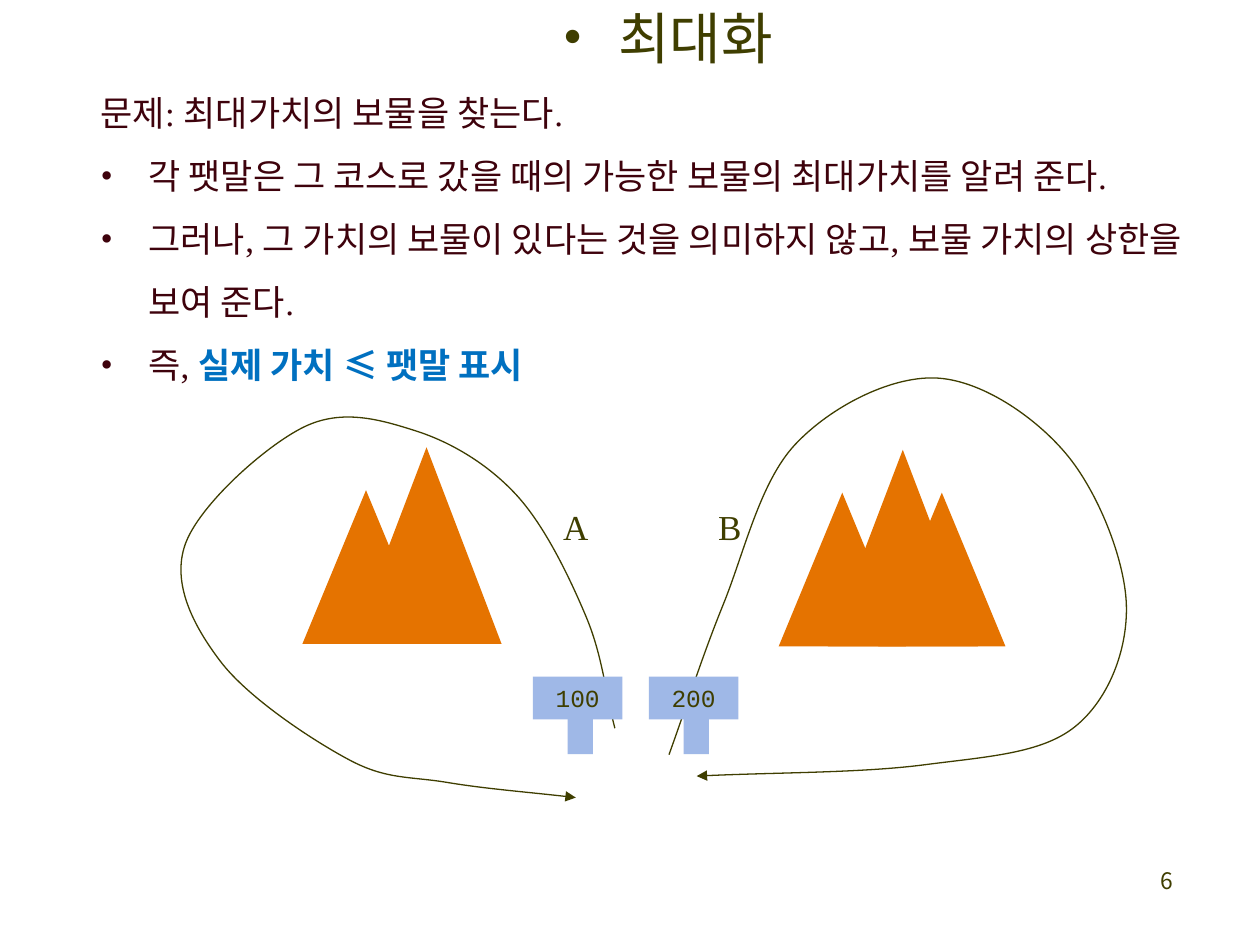
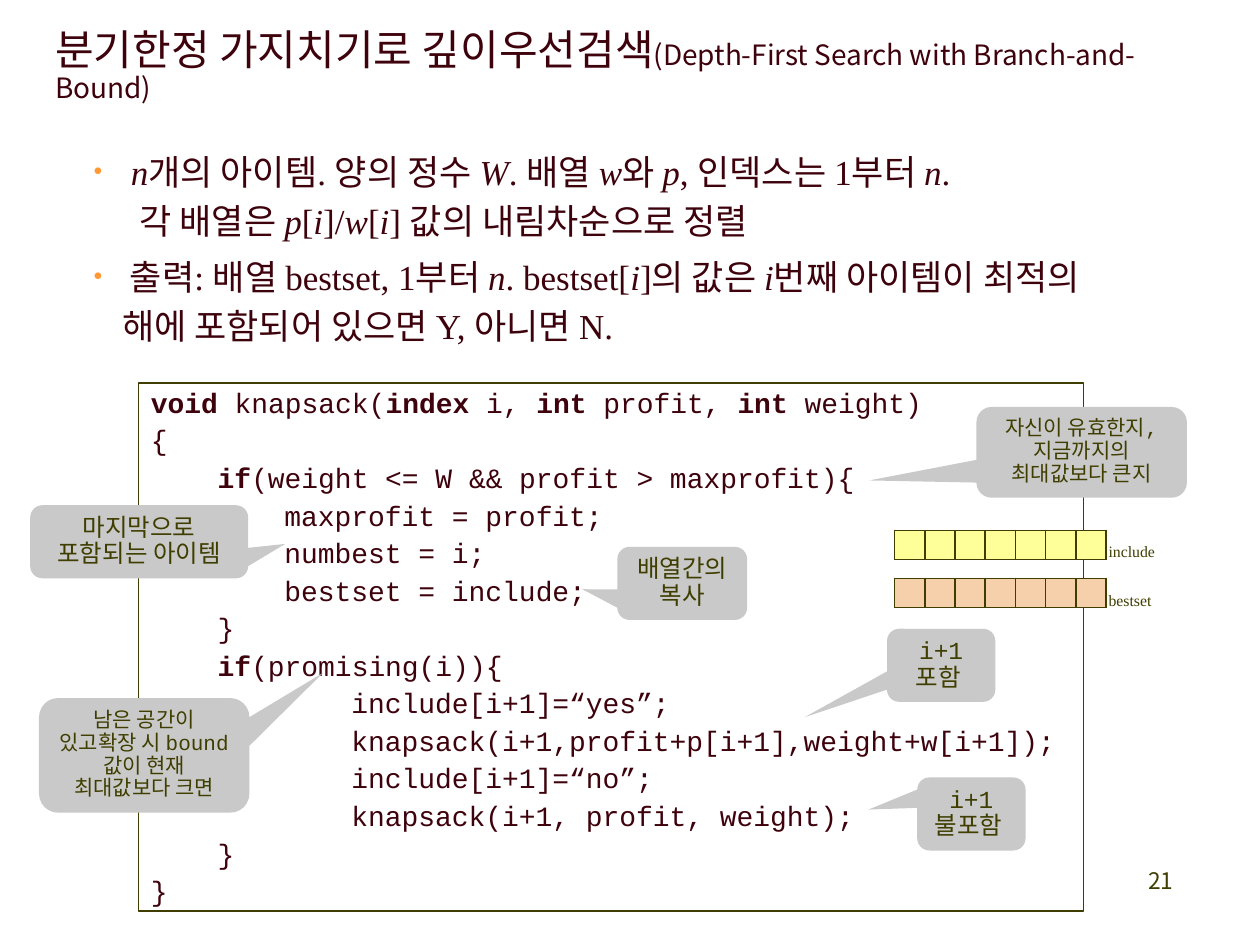
import pptx
import pptx.util
import pptx.dml.color
import pptx.enum.shapes
import pptx.enum.text
import pptx.oxml
import pptx.oxml.ns

Inches, Pt = pptx.util.Inches, pptx.util.Pt
RGBColor = pptx.dml.color.RGBColor
ShapeType = pptx.enum.shapes.MSO_SHAPE
Align = pptx.enum.text.PP_ALIGN
Anchor = pptx.enum.text.MSO_ANCHOR

OLIVE = RGBColor(0x3F, 0x3E, 0x00)
WINE = RGBColor(0x3E, 0x02, 0x0C)
BLUE = RGBColor(0x00, 0x70, 0xC0)
ORANGE = RGBColor(0xE5, 0x73, 0x00)
SIGN_BLUE = RGBColor(0x9F, 0xB8, 0xE7)
GREY = RGBColor(0xC9, 0xC9, 0xC9)
YELLOW = RGBColor(0xFF, 0xFF, 0x99)
PEACH = RGBColor(0xF5, 0xD0, 0xAB)
BULLET_ORANGE = RGBColor(0xFF, 0x99, 0x33)
SERIF, MONO, SANS = "Times New Roman", "Courier New", "Noto Sans CJK KR"

LABEL = {"name": SERIF, "size": Pt(20), "color": OLIVE}
BODY = {"name": SERIF, "size": Pt(20), "color": WINE}
HEADING = {"name": SERIF, "size": Pt(32), "color": OLIVE}
TITLE = {"name": SANS, "size": Pt(24), "color": WINE}
NUMBER = {"name": SANS, "size": Pt(13), "color": OLIVE}
CODE = {"name": MONO, "size": Pt(16), "color": WINE}
NOTE = {"name": MONO, "size": Pt(14), "color": OLIVE}
CAPTION = {"name": SERIF, "size": Pt(9), "color": OLIVE}
FIXED = {"line_spacing": Pt(28)}
NOTE_LAYOUT = {"alignment": Align.CENTER, "line_spacing": 0.9, "space_before": Pt(2.8)}

STRONG = {"bold": True, "color": BLUE}
TREASURE_LEAD = "문제: 최대가치의 보물을 찾는다."
TREASURE_POINTS = [
    [("각 팻말은 그 코스로 갔을 때의 가능한 보물의 최대가치를 알려 준다.", {})],
    [("그러나, 그 가치의 보물이 있다는 것을 의미하지 않고, 보물 가치의 상한을 보여 준다.", {})],
    [("즉, ", {}), ("실제 가치 ", STRONG), ("≤ ", {**STRONG, "name": SANS}), ("팻말 표시", STRONG)],
]
SMALL_PEAK, TALL_PEAK = (1.01, 1.22), (1.19, 1.56)
PEAKS = [(0, 0, SMALL_PEAK), (0.39, -0.34, TALL_PEAK), (0.79, 0, SMALL_PEAK)]
MOUNTAINS = [(2.4, 3.89, 2), (6.18, 3.91, 3)]
TRAILS = [
    [(4.88, 5.78), (4.65, 4.89), (4.1, 3.93), (3.3, 3.42), (2.41, 3.39), (1.47, 4.32),
     (1.75, 5.25), (2.77, 6.03), (3.55, 6.21), (4.57, 6.33)],
    [(5.31, 5.99), (5.74, 4.8), (6.31, 3.53), (7.42, 3), (8.46, 3.6), (8.94, 4.8),
     (8.53, 5.77), (7.34, 6.07), (5.53, 6.16)],
]
SIGNS = [(4.23, "100"), (5.15, "200")]
TRAIL_NAMES = [(4.37, 0.41, "A"), (5.6, 0.39, "B")]

SEARCH_TITLE = [("분기한정 가지치기로 깊이우선검색", {}),
                ("(Depth-First Search with Branch-and-Bound)", {"size": Pt(16)})]
SEARCH_POINTS = [
    " *n*개의 아이템. 양의 정수 *W*. 배열 *w*와 *p*, 인덱스는 1부터 *n*. \v\u2002각 배열은 "
    "*p*[*i*]/*w*[*i*] 값의 내림차순으로 정렬",
    " 출력: 배열 bestset, 1부터 *n*. bestset[*i*]의 값은 *i*번째 아이템이 최적의 해에 "
    "포함되어 있으면 Y, 아니면 N.",
]
CODE_LINES = [
    (0, "*void* knapsack(*index* i, *int* profit, *int* weight)"),
    (0, "{"),
    (1, "*if*(weight <= W && profit > maxprofit){"),
    (2, "maxprofit = profit;"),
    (2, "numbest = i;"),
    (2, "bestset = include;"),
    (1, "}"),
    (1, "*if*(promising(i)){"),
    (3, "include[i+1]=“yes”;"),
    (3, "knapsack(i+1,profit+p[i+1],weight+w[i+1]);"),
    (3, "include[i+1]=“no”;"),
    (3, "knapsack(i+1, profit, weight);"),
    (1, "}"),
    (0, "}"),
]
CODE_INDENT = 0.53
CALLOUTS = [
    ((7.04, 4.99, 0.86, 0.58), (-1.26, 0.71), 14, "i+1 포함 "),
    ((7.28, 6.17, 0.86, 0.58), (-0.95, -0.06), 14, "i+1 불포함 "),
    ((7.75, 3.23, 1.67, 0.72), (-1.01, 0.31), 12, "자신이 유효한지, 지금까지의 최대값보다 큰지"),
    ((0.31, 5.54, 1.67, 0.91), (0.85, -0.72), 12,
     "남은 공간이 있고확장 시 bound 값이 현재 최대값보다 크면"),
    ((4.9, 4.34, 1.03, 0.58), (-0.77, 0.08), 14, "배열간의 복사"),
    ((0.24, 4.01, 1.73, 0.58), (0.67, 0.03), 14, "마지막으로 포함되는 아이템"),
]
ARRAYS = [(4.21, YELLOW), (4.59, PEACH)]
ARRAY_NAMES = ["include", "bestset"]
ARRAY_LEFT, ARRAY_LENGTH, ARRAY_CELL = 7.1, 7, (0.24, 0.23)


def box(*lengths):
    return [Inches(length) for length in lengths]


def marked(text, emphasis):
    return [(piece, emphasis if index % 2 else {})
            for index, piece in enumerate(text.split("*")) if piece]


def add_xml(parent, markup):
    namespaces = pptx.oxml.ns.nsdecls("a")
    element = pptx.oxml.parse_xml(markup.replace("/>", f" {namespaces}/>", 1)
                                  if markup.endswith("/>") and markup.count("<") == 1
                                  else markup.replace(">", f" {namespaces}>", 1))
    parent.append(element)
    return element


def format_font(font, values):
    for name, value in values.items():
        if name == "color":
            font.color.rgb = value
        else:
            setattr(font, name, value)


def write_runs(paragraph, runs, style):
    for text, changes in runs:
        for index, line in enumerate(text.split("\v")):
            if index:
                paragraph.add_line_break()
            run = paragraph.add_run()
            run.text = line
            format_font(run.font, {**style, **changes})
            add_xml(run.font._element, f'<a:ea typeface="{SANS}"/>')


def write(shape, paragraphs, style, layout, wrap=True, anchor=Anchor.TOP):
    frame = shape.text_frame
    frame.word_wrap, frame.vertical_anchor = wrap, anchor
    for index, runs in enumerate(paragraphs):
        paragraph = frame.add_paragraph() if index else frame.paragraphs[0]
        for name, value in {"alignment": Align.LEFT, **layout}.items():
            setattr(paragraph, name, value)
        write_runs(paragraph, runs, style)
    return frame.paragraphs


def add_text(slide, area, paragraphs, style, layout, wrap=True):
    return write(slide.shapes.add_textbox(*box(*area)), paragraphs, style, layout, wrap)


def indent(paragraph, left, first=0.0):
    properties = paragraph._p.get_or_add_pPr()
    properties.set("marL", str(Inches(left)))
    properties.set("indent", str(Inches(first)))
    return properties


def add_bullet(paragraph, width, color=None, percent=None):
    properties = indent(paragraph, width, -width)
    if color is not None:
        add_xml(properties, f'<a:buClr><a:srgbClr val="{color}"/></a:buClr>')
    if percent:
        add_xml(properties, f'<a:buSzPct val="{percent * 1000}"/>')
    add_xml(properties, '<a:buFont typeface="Times New Roman"/>')
    add_xml(properties, '<a:buChar char="•"/>')


def add_shape(shapes, kind, area, fill=None):
    shape = shapes.add_shape(kind, *box(*area))
    shape.shadow.inherit = False
    if fill is None:
        shape.fill.background()
        outline(shape)
    else:
        shape.fill.solid()
        shape.fill.fore_color.rgb = fill
        shape.line.fill.background()
    return shape


def outline(shape):
    shape.line.color.rgb = OLIVE
    shape.line.width = Pt(0.75)


def step(start, end, share):
    return tuple(round(a + (b - a) * share) for a, b in zip(start, end))


def add_trail(slide, anchors):
    points = [tuple(box(*anchor)) for anchor in anchors]
    builder = slide.shapes.build_freeform(*points[0], scale=1.0)
    builder.add_line_segments(points[1:], close=False)
    shape = builder.convert_to_shape()
    shape.shadow.inherit = False
    shape.fill.background()
    outline(shape)
    add_xml(shape.line._get_or_add_ln(), '<a:tailEnd type="triangle"/>')
    segments = shape._element.findall(".//" + pptx.oxml.ns.qn("a:lnTo"))
    last = len(points) - 1
    tangents = [step(points[max(i - 1, 0)], points[min(i + 1, last)], 1 / 3 if i in (0, last) else 1 / 6)
                for i in range(last + 1)]
    offsets = [tuple(t - p for t, p in zip(tangents[i], points[max(i - 1, 0)]))
               for i in range(last + 1)]
    for i, segment in enumerate(segments):
        start, end = points[i], points[i + 1]
        controls = [tuple(p + d for p, d in zip(start, offsets[i])),
                    tuple(p - d for p, d in zip(end, offsets[i + 1])), end]
        marks = "".join(f'<a:pt x="{x - shape.left}" y="{y - shape.top}"/>' for x, y in controls)
        curve = add_xml(segment.getparent(), f"<a:cubicBezTo>{marks}</a:cubicBezTo>")
        segment.getparent().replace(segment, curve)


def add_array(slide, top, fill):
    width, height = ARRAY_CELL
    frame = slide.shapes.add_table(
        1, ARRAY_LENGTH, *box(ARRAY_LEFT, top, width * ARRAY_LENGTH, height))
    for column in frame.table.columns:
        column.width = Inches(width)
    for cell in frame.table.iter_cells():
        for side in ("left", "right", "top", "bottom"):
            setattr(cell, f"margin_{side}", 0)
        cell.text_frame.paragraphs[0]._p.get_or_add_endParaRPr().set("sz", "800")
        properties = cell._tc.get_or_add_tcPr()
        for edge in ("lnL", "lnR", "lnT", "lnB"):
            add_xml(properties, f'<a:{edge} w="{Pt(1)}"><a:solidFill><a:srgbClr val="{OLIVE}"/>'
                                f'</a:solidFill></a:{edge}>')
        cell.fill.solid()
        cell.fill.fore_color.rgb = fill


def add_slide(presentation, number):
    slide = presentation.slides.add_slide(presentation.slide_layouts[6])
    add_text(slide, (7.33, 6.83, 2.08, 0.5), [[(number, {})]], NUMBER, {"alignment": Align.RIGHT})
    return slide


def build_treasure(presentation):
    slide = add_slide(presentation, "6")
    for left, top, count in MOUNTAINS:
        for right, down, size in PEAKS[:count]:
            add_shape(slide.shapes, ShapeType.ISOSCELES_TRIANGLE,
                      (left + right, top + down, *size), ORANGE)
    for trail in TRAILS:
        add_trail(slide, trail)
    for left, value in SIGNS:
        group = slide.shapes.add_group_shape()
        board = add_shape(group.shapes, ShapeType.RECTANGLE, (left, 5.37, 0.71, 0.34), SIGN_BLUE)
        write(board, [[(value, {})]], NOTE, {"alignment": Align.CENTER}, anchor=Anchor.MIDDLE)
        post = add_shape(group.shapes, ShapeType.RECTANGLE, (left + 0.21, 5.72, 0.33, 0.2), SIGN_BLUE)
        post.rotation = 90
    paragraphs = add_text(slide, (0.7, 0.51, 8.91, 2.62),
                          [[(TREASURE_LEAD, {})], *TREASURE_POINTS], BODY, {"line_spacing": 1.5})
    for paragraph in paragraphs[1:]:
        add_bullet(paragraph, 0.38)
    for left, width, name in TRAIL_NAMES:
        add_text(slide, (left, 3.91, width, 0.46), [[(name, {})]], LABEL, FIXED, wrap=False)
    heading = add_text(slide, (4.37, 0.12, 1.93, 0.49), [[("최대화", {})]], HEADING, FIXED, wrap=False)
    add_bullet(heading[0], 0.44)


def build_search(presentation):
    slide = add_slide(presentation, "21")
    frame = add_shape(slide.shapes, ShapeType.RECTANGLE, (1.1, 3.04, 7.5, 4.19))
    lines = write(frame, [marked(text, {"bold": True}) for level, text in CODE_LINES], CODE,
                  {"line_spacing": 0.9, "space_before": Pt(4.2)})
    for paragraph, (level, text) in zip(lines, CODE_LINES):
        indent(paragraph, level * CODE_INDENT)
    points = add_text(slide, (0.64, 1.09, 8.52, 1.74),
                      [marked(text, {"italic": True}) for text in SEARCH_POINTS], BODY,
                      {**FIXED, "space_before": Pt(4)})
    for paragraph in points:
        add_bullet(paragraph, 0.23, BULLET_ORANGE, 80)
    for area, tip, size, text in CALLOUTS:
        callout = add_shape(slide.shapes, ShapeType.ROUNDED_RECTANGULAR_CALLOUT, area, GREY)
        callout.adjustments[0], callout.adjustments[1] = tip
        write(callout, [[(text, {})]], {**NOTE, "size": Pt(size)}, NOTE_LAYOUT)
    add_text(slide, (0.34, 0.18, 9.33, 0.77), [SEARCH_TITLE], TITLE, {"line_spacing": 0.9})
    for top, fill in ARRAYS:
        add_array(slide, top, fill)
    add_text(slide, (8.7, 4.01, 0.57, 0.89), [[(name, {})] for name in ARRAY_NAMES],
             CAPTION, FIXED, wrap=False)


presentation = pptx.Presentation()
presentation.slide_width, presentation.slide_height = box(10, 7.5)
build_treasure(presentation)
build_search(presentation)
presentation.save("out.pptx")
